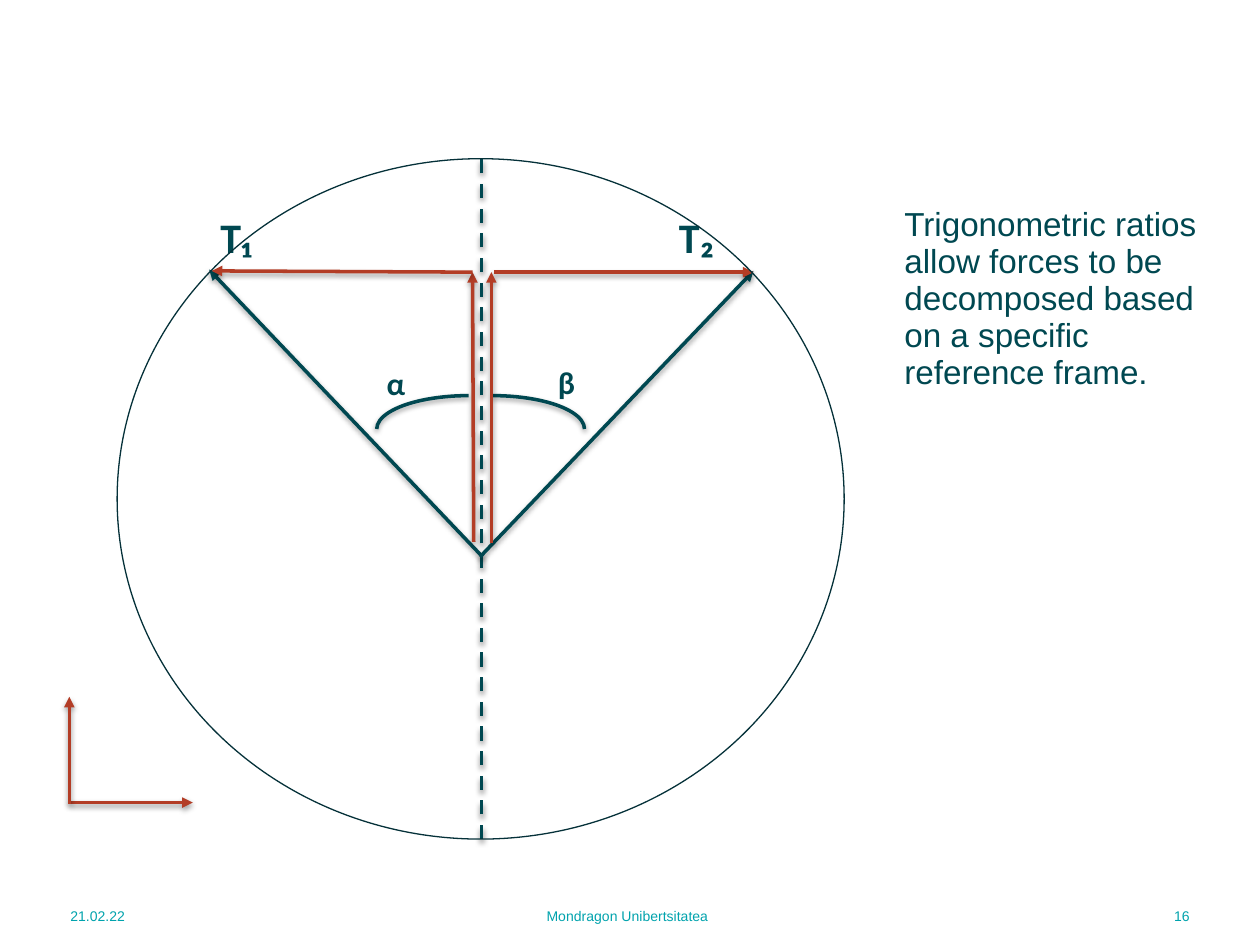
from lxml import etree
from pptx import Presentation
from pptx.dml.color import RGBColor
from pptx.enum.dml import MSO_LINE
from pptx.enum.shapes import MSO_CONNECTOR, MSO_SHAPE
from pptx.enum.text import MSO_ANCHOR, PP_ALIGN
from pptx.oxml.ns import qn
from pptx.util import Inches, Pt

STRAIGHT = MSO_CONNECTOR.STRAIGHT
ARC, OVAL = MSO_SHAPE.ARC, MSO_SHAPE.OVAL
DASH = MSO_LINE.DASH
TOP, MIDDLE = MSO_ANCHOR.TOP, MSO_ANCHOR.MIDDLE
LEFT, CENTER, RIGHT = PP_ALIGN.LEFT, PP_ALIGN.CENTER, PP_ALIGN.RIGHT

TEAL, RED, AQUA, DARK = "004851", "B33D26", "00A3AD", "053139"


def color(value):
    return RGBColor.from_string(value)


def add_shadow(s):
    """Soft shadow straight below the line."""
    effects = etree.SubElement(s._element.spPr, qn("a:effectLst"))
    outer = etree.SubElement(effects, qn("a:outerShdw"), blurRad=str(Pt(3.1)),
                             dist=str(Pt(1.6)), dir="5400000", rotWithShape="0")
    black = etree.SubElement(outer, qn("a:srgbClr"), val="000000")
    etree.SubElement(black, qn("a:alpha"), val="38000")


def add_text(shapes, text, x, y, w, h, size, font="Arial", ink=TEAL,
             bold=False, align=LEFT, anchor=TOP, spacing=None):
    tf = shapes.add_textbox(Inches(x), Inches(y), Inches(w), Inches(h)).text_frame
    tf.word_wrap = True
    tf.vertical_anchor = anchor
    p = tf.paragraphs[0]
    p.text = text
    p.alignment = align
    p.line_spacing = spacing
    p.font.size, p.font.name, p.font.bold = Pt(size), font, bold
    p.font.color.rgb = color(ink)


def add_line(shapes, start, end, ink, arrow=True, dash=None):
    s = shapes.add_connector(STRAIGHT, *map(Inches, start + end))
    s.line.color.rgb = color(ink)
    s.line.width = Pt(2)
    if dash:
        s.line.dash_style = dash
    if arrow:
        etree.SubElement(s.line._get_or_add_ln(), qn("a:tailEnd"), type="triangle")
    add_shadow(s)


def add_outline(shapes, kind, x, y, w, h, ink, width):
    s = shapes.add_shape(kind, Inches(x), Inches(y), Inches(w), Inches(h))
    s.fill.background()
    s.line.color.rgb = color(ink)
    s.line.width = Pt(width)
    return s


def add_angle(shapes, x, flipped):
    s = add_outline(shapes, ARC, x, 3.14, 1.46, 0.53, TEAL, 2)
    if flipped:
        s._element.spPr.find(qn("a:xfrm")).set("flipH", "1")
    add_shadow(s)


def add_forces(shapes):
    # Tensions and the vertical axis
    add_line(shapes, (3.83, 4.42), (1.66, 2.14), TEAL)
    add_line(shapes, (3.82, 6.66), (3.82, 1.26), TEAL, arrow=False, dash=DASH)
    add_angle(shapes, 3.18, False)
    add_angle(shapes, 2.99, True)
    add_line(shapes, (3.81, 4.42), (5.98, 2.15), TEAL)

    # Components of each tension
    for start, end in [((3.92, 2.16), (5.98, 2.16)), ((3.9, 4.31), (3.9, 2.16)),
                       ((3.76, 4.3), (3.75, 2.16)), ((3.75, 2.16), (1.68, 2.15))]:
        add_line(shapes, start, end, RED)

    # Names of forces and angles
    for text, x, y, h, size in [("T₁", 1.65, 1.63, 0.68, 24), ("T₂", 5.29, 1.63, 0.68, 24),
                                ("α", 2.97, 2.84, 0.54, 18), ("β", 4.33, 2.83, 0.54, 18)]:
        add_text(shapes, text, x, y, 0.95, h, size, font="Calibri", bold=True)


def add_reference_frame(shapes):
    add_line(shapes, (0.55, 6.37), (1.53, 6.37), RED)
    add_line(shapes, (0.55, 6.38), (0.55, 5.53), RED)


def main():
    prs = Presentation()
    prs.slide_width, prs.slide_height = Inches(10), Inches(7.5)
    shapes = prs.slides.add_slide(prs.slide_layouts[6]).shapes

    # Footer
    for text, x, w, align in [("21.02.22", 0.46, 1.29, LEFT),
                              ("Mondragon Unibertsitatea", 2.37, 5.22, CENTER),
                              ("16", 8.26, 1.28, RIGHT)]:
        add_text(shapes, text, x, 7.07, w, 0.4, 8, ink=AQUA, align=align, anchor=MIDDLE)

    # Diagram
    add_forces(shapes.add_group_shape().shapes)
    circle = add_outline(shapes, OVAL, 0.93, 1.26, 5.77, 5.4, DARK, 0.75)
    circle.shadow.inherit = False
    add_reference_frame(shapes.add_group_shape().shapes)

    # Explanation
    add_text(shapes, "Trigonometric ratios allow forces to be decomposed based "
             "on a specific reference frame.", 7.08, 1.59, 2.77, 4.94, 19, spacing=0.93)

    prs.save("out.pptx")


if __name__ == "__main__":
    main()
